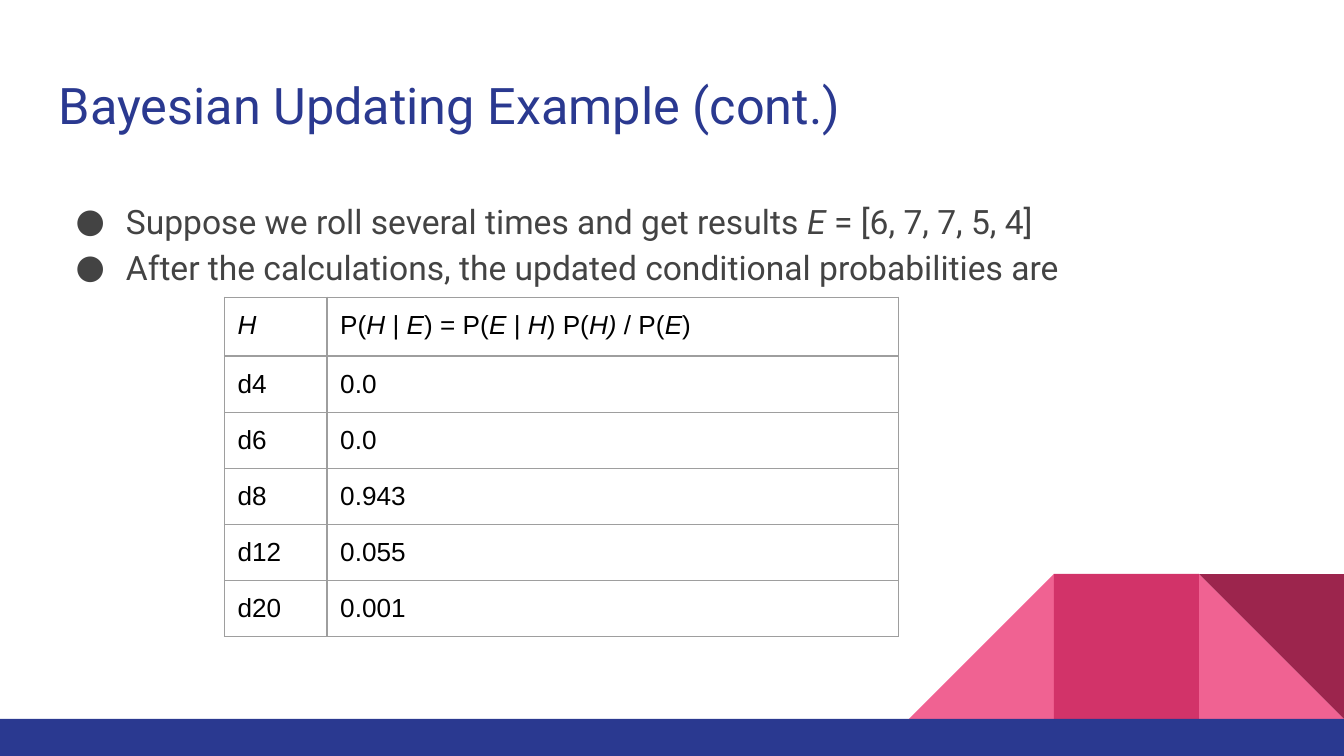
from lxml import etree
from pptx import Presentation
from pptx import util as u
from pptx.dml import color
from pptx.enum import shapes, text
from pptx.oxml import ns

WIDTH, HEIGHT = 25.4, 14.29
TILE = 2.74
BAR_TOP = 13.59
INSET = 0.25
NAVY, GREY, BLACK, LINE = "2A3990", "434343", "000000", "9E9E9E"
PINK, ROSE, WINE = "F06292", "D23369", "9C254D"

BULLETS = [
    ("Suppose we roll several times and get results ", "E", " = [6, 7, 7, 5, 4]"),
    ("After the calculations, the updated conditional probabilities are",),
]
ROWS = [
    (("", "H"),
     ("P(", "H", " | ", "E", ") = P(", "E ", "| ", "H", ") P(", "H) ", "/ P(", "E", ")")),
    (("d4",), ("0.0",)),
    (("d6",), ("0.0",)),
    (("d8",), ("0.943",)),
    (("d12",), ("0.055",)),
    (("d20",), ("0.001",)),
]
COLUMN_WIDTHS = [1.94, 10.8]
HEADER_HEIGHT, ROW_HEIGHT = 1.11, 1.06


def rgb(value):
    return color.RGBColor.from_string(value)


def add_child(parent, tag, **attributes):
    child = etree.SubElement(parent, ns.qn(tag))
    for name, value in attributes.items():
        child.set(name, str(value))
    return child


def add_spans(para, parts, font, size, tint):
    for index, words in enumerate(parts):
        if words:
            span = para.add_run()
            span.text = words
            span.font.name = font
            span.font.size = u.Pt(size)
            span.font.color.rgb = rgb(tint)
            span.font.italic = index % 2 == 1


def set_insets(target):
    for side in ("left", "right", "top", "bottom"):
        setattr(target, f"margin_{side}", u.Cm(INSET))


def place_text(box, left, top, width, height, anchor):
    box.left, box.top = u.Cm(left), u.Cm(top)
    box.width, box.height = u.Cm(width), u.Cm(height)
    frame = box.text_frame
    set_insets(frame)
    frame.word_wrap = True
    frame.auto_size = text.MSO_AUTO_SIZE.NONE
    frame.vertical_anchor = anchor
    return frame


def add_title(page, words):
    frame = place_text(page.shapes.title, 0.86, 1.14, 23.67, 1.68,
                       text.MSO_ANCHOR.MIDDLE)
    para = frame.paragraphs[0]
    para.alignment = text.PP_ALIGN.LEFT
    add_spans(para, [words], "Roboto", 27, NAVY)


def add_bullets(page, items):
    frame = place_text(page.placeholders[1], 0.86, 3.43, 23.67, 9.27,
                       text.MSO_ANCHOR.TOP)
    for index, parts in enumerate(items):
        para = frame.add_paragraph() if index else frame.paragraphs[0]
        para.line_spacing = 1.15
        para.space_before = para.space_after = u.Pt(0)
        add_spans(para, parts, "Roboto", 18, GREY)
        props = para._p.get_or_add_pPr()
        props.set("marL", str(u.Cm(1.27)))
        props.set("indent", str(u.Cm(-0.95)))
        add_child(add_child(props, "a:buClr"), "a:srgbClr", val=GREY)
        add_child(props, "a:buFont", typeface="Roboto")
        add_child(props, "a:buChar", char="●")


def add_block(page, kind, left, top, width, height, tint):
    block = page.shapes.add_shape(kind, u.Cm(left), u.Cm(top), u.Cm(width), u.Cm(height))
    block.shadow.inherit = False
    block.fill.solid()
    block.fill.fore_color.rgb = rgb(tint)
    block.line.fill.background()
    return block


def add_decoration(page):
    triangle = shapes.MSO_SHAPE.RIGHT_TRIANGLE
    square = shapes.MSO_SHAPE.RECTANGLE
    left, middle, right = (WIDTH - TILE * count for count in (3, 2, 1))
    top = BAR_TOP - TILE
    add_block(page, triangle, right, top, TILE, TILE, PINK)
    slope = add_block(page, triangle, left, top, TILE, TILE, PINK)
    slope._element.spPr.xfrm.set("flipH", "1")
    add_block(page, square, middle, top, TILE, TILE, ROSE)
    add_block(page, triangle, right, top, TILE, TILE, WINE).rotation = 180
    add_block(page, square, 0, BAR_TOP, WIDTH, HEIGHT - BAR_TOP, NAVY)


def format_cell(cell, parts):
    set_insets(cell)
    props = cell._tc.get_or_add_tcPr()
    for edge in ("a:lnL", "a:lnR", "a:lnT", "a:lnB"):
        border = add_child(props, edge, w=u.Pt(0.75))
        add_child(add_child(border, "a:solidFill"), "a:srgbClr", val=LINE)
    cell.fill.background()
    add_spans(cell.text_frame.paragraphs[0], parts, "Arial", 14, BLACK)


def add_probabilities(page, rows):
    heights = [HEADER_HEIGHT] + [ROW_HEIGHT] * (len(rows) - 1)
    table = page.shapes.add_table(
        len(rows), len(COLUMN_WIDTHS), u.Cm(4.24), u.Cm(5.62),
        u.Cm(sum(COLUMN_WIDTHS)), u.Cm(sum(heights))).table
    table.first_row = table.horz_banding = False
    for column, width in zip(table.columns, COLUMN_WIDTHS):
        column.width = u.Cm(width)
    for row, height, contents in zip(table.rows, heights, rows):
        row.height = u.Cm(height)
        for cell, parts in zip(row.cells, contents):
            format_cell(cell, parts)


def main():
    deck = Presentation()
    deck.slide_width, deck.slide_height = u.Cm(WIDTH), u.Cm(HEIGHT)
    page = deck.slides.add_slide(deck.slide_layouts[1])
    add_decoration(page)
    add_title(page, "Bayesian Updating Example (cont.)")
    add_bullets(page, BULLETS)
    add_probabilities(page, ROWS)
    deck.save("out.pptx")


if __name__ == "__main__":
    main()
